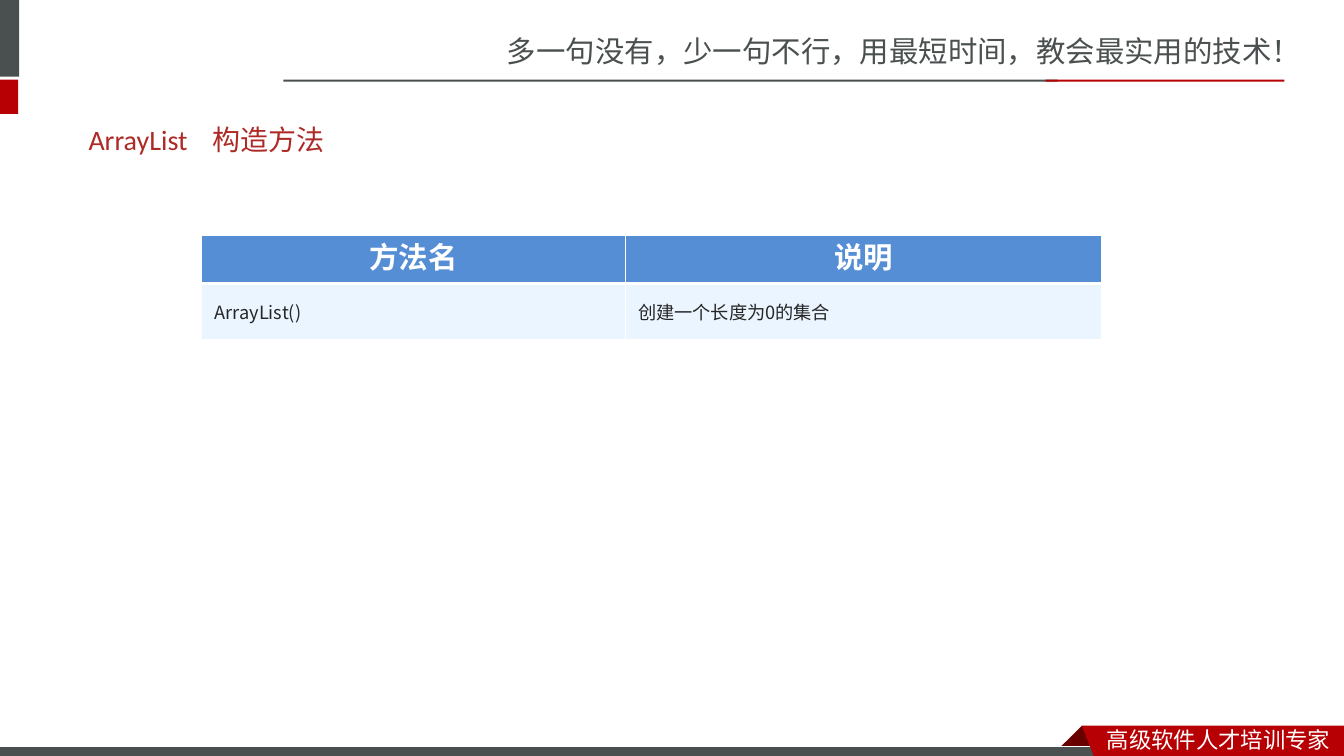
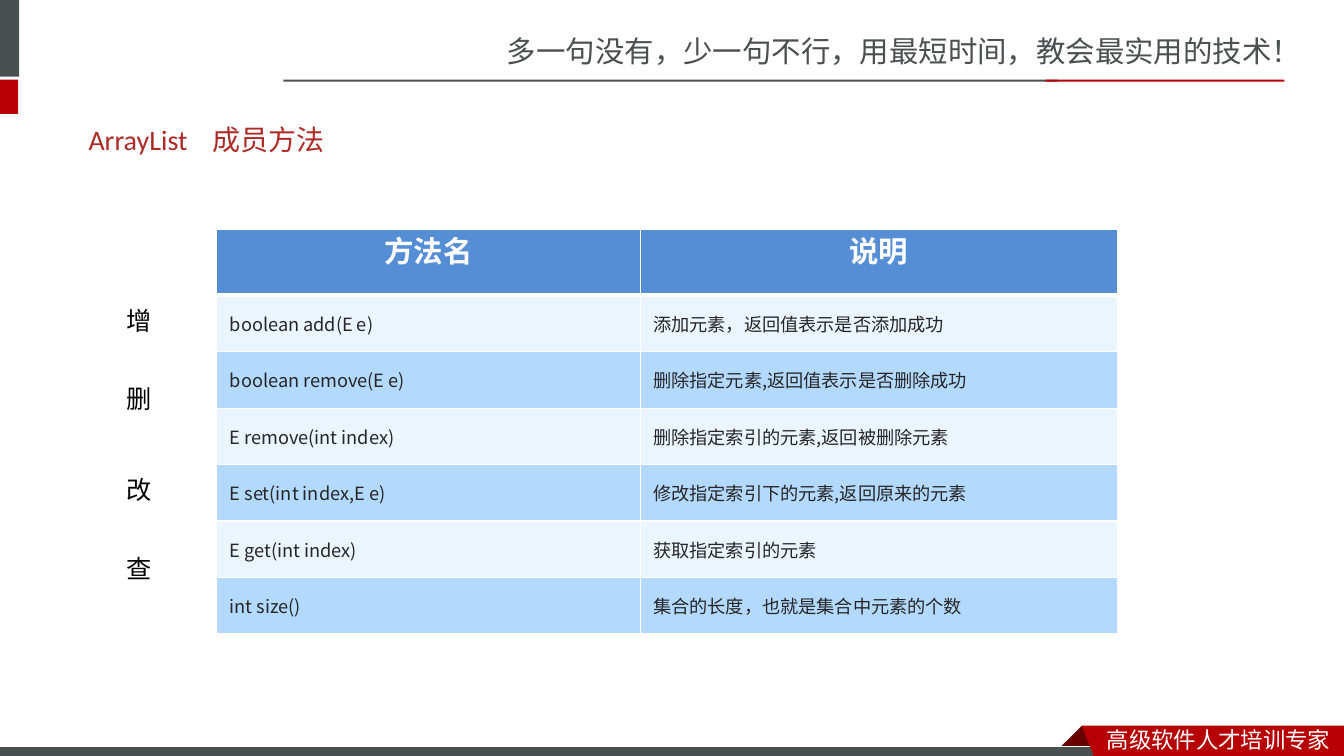
import pptx
import pptx.dml.color
import pptx.enum.shapes
import pptx.enum.text
import pptx.oxml.ns
import pptx.util
from lxml import etree
from pptx.util import Inches, Pt

# Content
SLOGAN = "多一句没有，少一句不行，用最短时间，教会最实用的技术！"
FOOTER = "高级软件人才培训专家"
HEADINGS = ("方法名", "说明")
SLIDES = [
    {
        "topic": "构造方法",
        "table_at": (2, 2.34),
        "header_height": 0.46,
        "methods": [("ArrayList()", "创建一个长度为0的集合")],
        "labels": [],
    },
    {
        "topic": "成员方法",
        "table_at": (2.15, 2.28),
        "header_height": 0.65,
        "methods": [
            ("boolean add(E e)", "添加元素，返回值表示是否添加成功"),
            ("boolean remove(E e)", "删除指定元素,返回值表示是否删除成功"),
            ("E remove(int index)", "删除指定索引的元素,返回被删除元素"),
            ("E set(int index,E e)", "修改指定索引下的元素,返回原来的元素"),
            ("E get(int index)", "获取指定索引的元素"),
            ("int size()", "集合的长度，也就是集合中元素的个数"),
        ],
        "labels": [("增", 2.98), ("删", 3.75), ("改", 4.66), ("查", 5.44)],
    },
]

# Shared style
GREY, RED, DARK_RED, WHITE = "49504F", "B60004", "680000", "FFFFFF"
TITLE_RED, BLACK, BODY = "AD2A26", "000000", "262626"
HEADER_BLUE, ROW_FILLS = "558ED5", ("EBF5FF", "B3D9FF")
SANS, TABLE_FONT, LATIN = "Noto Sans CJK SC", "Noto Sans CJK JP", "Calibri"
COLUMN_WIDTHS, ROW_HEIGHT = (4.2, 4.73), 0.56
MIDDLE = pptx.enum.text.MSO_ANCHOR.MIDDLE
TOP = pptx.enum.text.MSO_ANCHOR.TOP

BARS = [
    ((-0.06, 0, 0.25, 0.76), GREY),
    ((-0.06, 0.79, 0.24, 0.34), RED),
    ((2.81, 0.79, 7.68, 0.02), GREY),
    ((10.37, 0.79, 2.37, 0.02), RED),
]
RIBBON_FOLD = [(10.73, 7.2), (10.95, 7.42), (10.94, 7.43), (10.52, 7.43), (10.51, 7.42)]
RIBBON = [(10.73, 7.2), (13.33, 7.2), (13.33, 7.54), (10.86, 7.53)]


def rgb(color):
    return pptx.dml.color.RGBColor.from_string(color)


def paint(sp, fill, line=None):
    sp.shadow.inherit = False
    sp.fill.solid()
    sp.fill.fore_color.rgb = rgb(fill)
    if line:
        sp.line.color.rgb = rgb(line)
        sp.line.width = Pt(0.75)
    else:
        sp.line.fill.background()


def add_bar(s, box, fill, line=None):
    kind = pptx.enum.shapes.MSO_SHAPE.RECTANGLE
    paint(s.shapes.add_shape(kind, *map(Inches, box)), fill, line)


def add_outline(s, points, fill):
    corners = [(Inches(x), Inches(y)) for x, y in points]
    builder = s.shapes.build_freeform(*corners[0])
    builder.add_line_segments(corners[1:], close=True)
    paint(builder.convert_to_shape(), fill)


def add_run(p, text, size, font, color, bold=False):
    r = p.add_run()
    r.text = text
    r.font.size, r.font.name, r.font.bold = Pt(size), font, bold
    r.font.color.rgb = rgb(color)
    if font != LATIN:
        latin = r.font._element.find(pptx.oxml.ns.qn("a:latin"))
        east_asian = etree.Element(pptx.oxml.ns.qn("a:ea"), typeface=font)
        latin.addnext(east_asian)


def add_text(s, box, text, size, font, color, anchor=TOP, wrap=True):
    tf = s.shapes.add_textbox(*map(Inches, box)).text_frame
    tf.word_wrap, tf.vertical_anchor = wrap, anchor
    add_run(tf.paragraphs[0], text, size, font, color)


def set_borders(cell, top, bottom):
    tc_pr = cell._tc.get_or_add_tcPr()
    for side, width in (("L", 1), ("R", 1), ("T", top), ("B", bottom)):
        ln = etree.SubElement(tc_pr, pptx.oxml.ns.qn("a:ln" + side), w=str(Pt(width)))
        fill = etree.SubElement(ln, pptx.oxml.ns.qn("a:solidFill"))
        etree.SubElement(fill, pptx.oxml.ns.qn("a:srgbClr"), val=WHITE)


def add_method_table(s, at, header_height, methods):
    rows = [HEADINGS] + methods
    heights = [header_height] + [ROW_HEIGHT] * len(methods)
    size = (sum(COLUMN_WIDTHS), sum(heights))
    table = s.shapes.add_table(len(rows), 2, *map(Inches, at + size)).table
    for column, width in zip(table.columns, COLUMN_WIDTHS):
        column.width = Inches(width)
    for i, (row, height, texts) in enumerate(zip(table.rows, heights, rows)):
        row.height = Inches(height)
        for cell, text in zip(row.cells, texts):
            # The heavy rule lies between the header and the first method
            set_borders(cell, 3 if i == 1 else 1, 3 if i == 0 else 1)
            cell.margin_left = cell.margin_right = Inches(0.13)
            cell.margin_top = cell.margin_bottom = Inches(0.07)
            cell.fill.solid()
            p = cell.text_frame.paragraphs[0]
            if i == 0:
                cell.fill.fore_color.rgb = rgb(HEADER_BLUE)
                p.alignment = pptx.enum.text.PP_ALIGN.CENTER
                p.line_spacing = Pt(24)
                add_run(p, text, 21, TABLE_FONT, WHITE, bold=True)
            else:
                cell.fill.fore_color.rgb = rgb(ROW_FILLS[(i - 1) % 2])
                cell.vertical_anchor = MIDDLE
                add_run(p, text, 13, TABLE_FONT, BODY)


def add_frame(s):
    # Slogan and bars at the top
    add_text(s, (4.93, 0.28, 8.41, 0.47), SLOGAN, 21, SANS, GREY)
    for box, fill in BARS:
        add_bar(s, box, fill)
    # Footer band and ribbon
    add_outline(s, RIBBON_FOLD, DARK_RED)
    add_bar(s, (-0.01, 7.41, 11, 0.12), GREY, line=WHITE)
    add_outline(s, RIBBON, RED)
    add_text(s, (10.88, 7.15, 2.45, 0.37), FOOTER, 16, SANS, WHITE)


def main():
    prs = pptx.Presentation()
    prs.slide_width, prs.slide_height = Inches(13.33), Inches(7.5)
    for content in SLIDES:
        s = prs.slides.add_slide(prs.slide_layouts[6])
        add_frame(s)
        # Title in two parts
        add_text(s, (0.78, 1.1, 1.44, 0.57), "ArrayList", 20, LATIN, TITLE_RED, MIDDLE)
        add_text(s, (2.01, 1.1, 2.28, 0.57), content["topic"], 20, LATIN, TITLE_RED, MIDDLE)
        add_method_table(s, content["table_at"], content["header_height"], content["methods"])
        # Labels beside the table
        for label, top in content["labels"]:
            add_text(s, (1.16, top, 0.47, 0.42), label, 18, LATIN, BLACK, wrap=False)
    prs.save("out.pptx")


if __name__ == "__main__":
    main()
